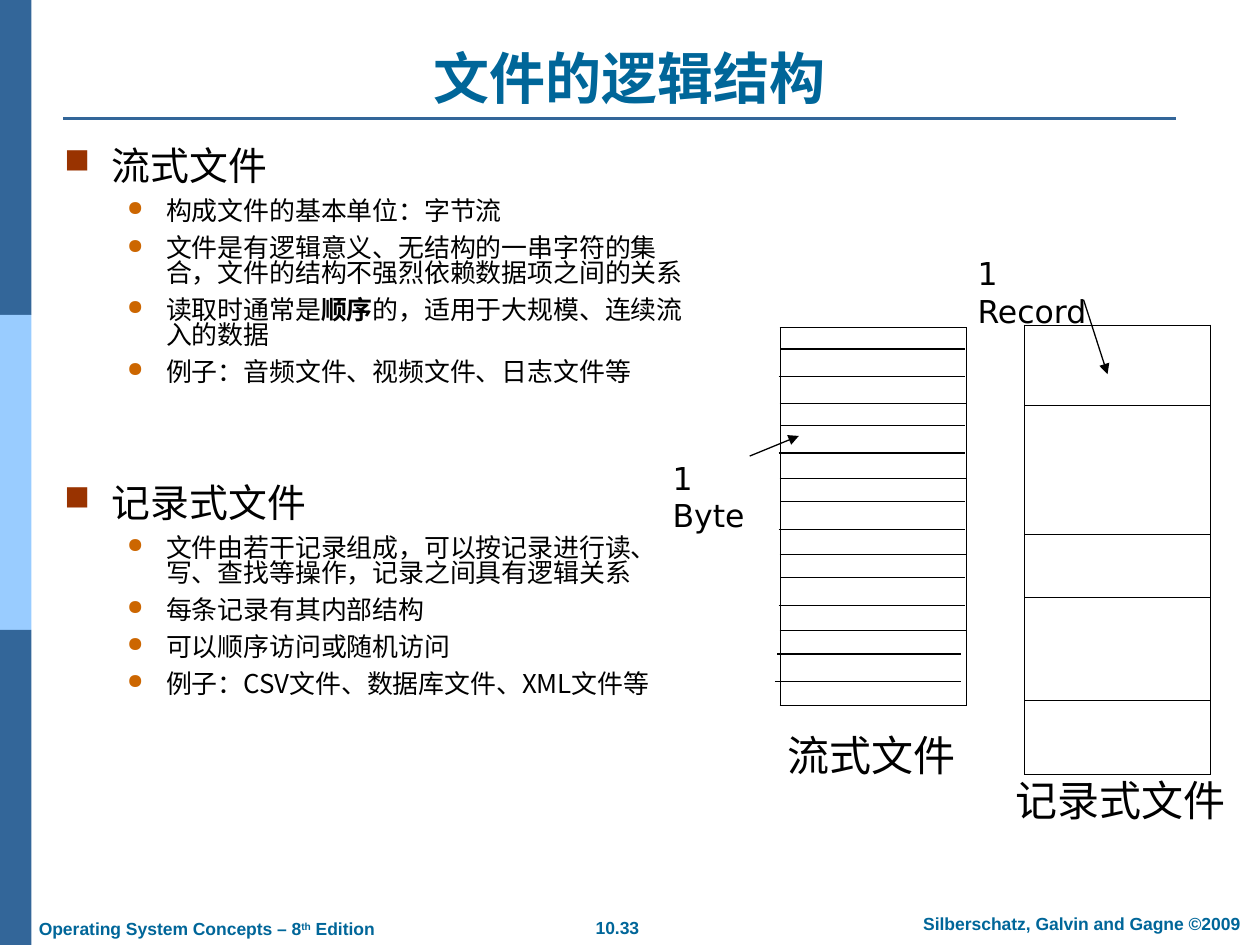
from lxml import etree
from pptx import Presentation
from pptx.dml.color import RGBColor
from pptx.enum.shapes import MSO_CONNECTOR, MSO_SHAPE
from pptx.enum.text import MSO_ANCHOR, PP_ALIGN
from pptx.oxml.ns import qn
from pptx.util import Inches, Pt

LINE = MSO_CONNECTOR.STRAIGHT
RECT = MSO_SHAPE.RECTANGLE
TOP, BOTTOM = MSO_ANCHOR.TOP, MSO_ANCHOR.BOTTOM
LEFT, CENTER = PP_ALIGN.LEFT, PP_ALIGN.CENTER

BLACK = RGBColor(0x00, 0x00, 0x00)
TEAL = RGBColor(0x00, 0x66, 0x99)
BLUE = RGBColor(0x33, 0x66, 0x99)
SKY = RGBColor(0x99, 0xCC, 0xFF)
BROWN = RGBColor(0x99, 0x33, 0x00)
ORANGE = RGBColor(0xCC, 0x66, 0x00)

LATIN, HAN, SANS = "Arial", "Noto Sans CJK SC", "DejaVu Sans"

# Level: bullet, its colour and size, margin, indent, text size
HEAD = ("■", BROWN, 90, 0.38, -0.38, 22.2)
ITEM = ("●", ORANGE, 80, 0.81, -0.31, 14.8)

# Each part: heading, space before it, then its items as (text, bold) runs
PARTS = [
    ("流式文件", 0, [
        [("构成文件的基本单位：字节流", False)],
        [("文件是有逻辑意义、无结构的一串字符的集合，文件的结构不强烈依赖数据项之间的关系", False)],
        [("读取时通常是", False), ("顺序", True),
         ("的，适用于大规模、连续流入的数据", False)],
        [("例子：音频文件、视频文件、日志文件等", False)],
    ]),
    ("记录式文件", 58, [
        [("文件由若干记录组成，可以按记录进行读、写、查找等操作，记录之间具有逻辑关系", False)],
        [("每条记录有其内部结构", False)],
        [("可以顺序访问或随机访问", False)],
        [("例子：CSV文件、数据库文件、XML文件等", False)],
    ]),
]


def add_sub(node, tag, **attrs):
    return etree.SubElement(node, qn(tag), attrs)


def add_run(para, text, size, font, color=BLACK, bold=False):
    run = para.add_run()
    run.text = text
    run.font.size = Pt(size)
    run.font.bold = bold
    run.font.color.rgb = color
    run.font.name = font
    add_sub(run.font._element, "a:ea", typeface=font)
    return run


def add_box(slide, x, y, w, h, align=LEFT, anchor=TOP):
    box = slide.shapes.add_textbox(Inches(x), Inches(y), Inches(w), Inches(h))
    frame = box.text_frame
    frame.word_wrap = True
    frame.vertical_anchor = anchor
    frame.paragraphs[0].alignment = align
    return frame


def add_label(slide, text, x, y, w, h, size, font):
    add_run(add_box(slide, x, y, w, h).paragraphs[0], text, size, font)


def add_line(slide, x1, y1, x2, y2, color=BLACK, width=0.75, arrow=False):
    line = slide.shapes.add_connector(
        LINE, Inches(x1), Inches(y1), Inches(x2), Inches(y2))
    line.line.color.rgb = color
    line.line.width = Pt(width)
    if arrow:
        add_sub(line.line._get_or_add_ln(), "a:tailEnd", type="triangle")
    add_sub(line._element.spPr, "a:effectLst")


def add_band(slide, y, color):
    band = slide.shapes.add_shape(
        RECT, 0, Inches(y), Inches(0.25), Inches(2.5))
    band.shadow.inherit = False
    band.fill.solid()
    band.fill.fore_color.rgb = color
    band.line.fill.background()


def add_stack(slide, x, y, rows):
    """Draw a one-column table of empty, outlined cells."""
    table = slide.shapes.add_table(
        len(rows), 1, Inches(x), Inches(y), Inches(1.48),
        Inches(sum(rows))).table
    table.first_row = table.horz_banding = False
    for i, high in enumerate(rows):
        table.rows[i].height = Inches(high)
        cell = table.cell(i, 0)
        props = cell._tc.get_or_add_tcPr()
        for side in ("a:lnL", "a:lnR", "a:lnT", "a:lnB"):
            edge = add_sub(props, side, w=str(Pt(0.45)))
            add_sub(add_sub(edge, "a:solidFill"), "a:srgbClr", val=str(BLACK))
        cell.fill.background()


def set_level(para, level, space):
    mark, color, scale, margin, indent = level[:5]
    props = para._p.get_or_add_pPr()
    props.set("marL", str(Inches(margin)))
    props.set("indent", str(Inches(indent)))
    props.set("hangingPunct", "0")
    add_sub(add_sub(props, "a:buClr"), "a:srgbClr", val=str(color))
    add_sub(props, "a:buSzPct", val=str(scale * 1000))
    add_sub(props, "a:buChar", char=mark)
    para.line_spacing = 0.8
    para.space_before = Pt(space)


def add_body(slide):
    frame = add_box(slide, 0.41, 1.15, 5.15, 5.16)
    para = frame.paragraphs[0]
    for head, gap, items in PARTS:
        if gap:
            para = frame.add_paragraph()
        set_level(para, HEAD, gap)
        add_run(para, head, HEAD[5], HAN)
        for runs in items:
            para = frame.add_paragraph()
            para.level = 1
            set_level(para, ITEM, 7)
            for text, bold in runs:
                add_run(para, text, ITEM[5], HAN, bold=bold)


def add_foot(slide, x, y, w, align, *texts):
    para = add_box(slide, x, y, w, 0.27, align).paragraphs[0]
    return [add_run(para, text, 10, LATIN, TEAL, True) for text in texts]


def main():
    deck = Presentation()
    deck.slide_width, deck.slide_height = Inches(10), Inches(7.5)
    slide = deck.slides.add_slide(deck.slide_layouts[6])

    # Side bands and title rule
    for i, color in enumerate((BLUE, SKY, BLUE)):
        add_band(slide, 2.5 * i, color)
    add_line(slide, 0.5, 0.94, 9.33, 0.94, BLUE, 1.5)

    # Footer
    add_foot(slide, 4.37, 7.23, 1.06, CENTER, "10.33")
    add_foot(slide, 7.1, 7.2, 2.97, CENTER,
             "Silberschatz, Galvin and Gagne ©2009")
    runs = add_foot(slide, 0.21, 7.24, 3.1, LEFT,
                    "Operating System Concepts – 8", "th", " Edition")
    runs[1].font._element.set("baseline", "30000")

    # Title
    title = add_box(slide, 0.5, 0.3, 9, 0.63, CENTER, BOTTOM)
    add_run(title.paragraphs[0], "文件的逻辑结构", 32, HAN, TEAL, True)

    # Record file
    add_stack(slide, 8.13, 2.58, [0.64, 1.02, 0.5, 0.82, 0.59])
    add_label(slide, "记录式文件", 7.96, 6.1, 2, 0.5, 24, HAN)
    add_line(slide, 8.6, 2.38, 8.79, 2.97, arrow=True)
    add_label(slide, "1 Record", 7.66, 1.97, 1.22, 0.4, 18, SANS)

    # Stream file: two byte lines in each row, the last pair set to the left
    add_stack(slide, 6.19, 2.6, [0.6] * 5)
    for i in range(5):
        y = 2.77 + 0.605 * i
        shift = 0.03 if i == 4 else 0
        add_line(slide, 6.2 - shift, y, 7.66 - shift, y)
        add_line(slide, 6.18 - shift, y + 0.22, 7.66 - shift, y + 0.22)
    add_label(slide, "流式文件", 6.15, 5.74, 2, 0.9, 24, HAN)
    add_line(slide, 5.95, 3.62, 6.34, 3.46, arrow=True)
    add_label(slide, "1 Byte", 5.24, 3.59, 0.92, 0.4, 18, SANS)

    # Bullet text
    add_body(slide)
    deck.save("out.pptx")


if __name__ == "__main__":
    main()
